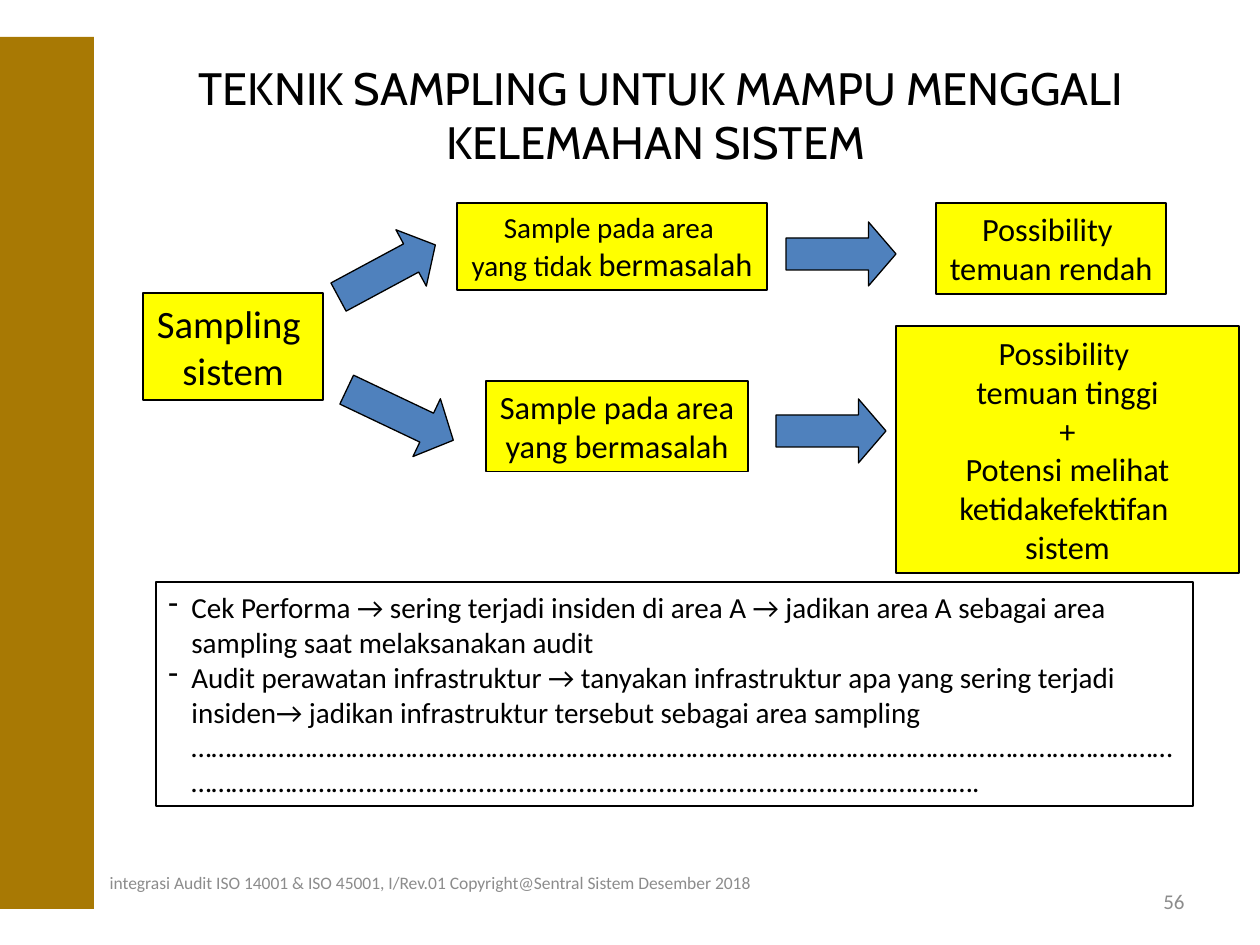
from lxml.etree import SubElement
from pptx import Presentation
from pptx.dml.color import RGBColor
from pptx.enum.shapes import MSO_SHAPE
from pptx.enum.text import MSO_ANCHOR, MSO_AUTO_SIZE, PP_ALIGN
from pptx.oxml.ns import qn
from pptx.util import Pt

PX = 914400 / 126
BLACK, YELLOW, BLUE, GOLD, GREY = "000000", "FFFF00", "4F81BD", "A87904", "8C8C8C"


def paint(color_format, color):
    color_format.rgb = RGBColor.from_string(color)


def add_block(preset, box, fill=None, line=BLACK):
    """Add a preset shape at box (left, top, width, height in px)."""
    block = slide.shapes.add_shape(preset, *[round(v * PX) for v in box])
    block.shadow.inherit = False
    for part, color in ((block.fill, fill), (block.line.fill, line)):
        if color:
            part.solid()
            paint(part.fore_color, color)
        else:
            part.background()
    block.line.width = Pt(0.75)
    return block


prs = Presentation()
prs.slide_width, prs.slide_height = round(1260 * PX), round(945 * PX)
slide = prs.slides.add_slide(prs.slide_layouts[5])

# Title
title = slide.shapes.title
title_place = {"left": 94, "top": 42, "width": 1134, "height": 145}
for side, length in title_place.items():
    setattr(title, side, round(length * PX))
title.text = "TEKNIK SAMPLING UNTUK MAMPU MENGGALI KELEMAHAN SISTEM "
title.text_frame.auto_size = MSO_AUTO_SIZE.NONE
title.text_frame.vertical_anchor = MSO_ANCHOR.MIDDLE
heading = title.text_frame.paragraphs[0]
heading.alignment = PP_ALIGN.CENTER
heading.font.name, heading.font.size = "Cabin", Pt(25.9)
paint(heading.font.color, BLACK)

# Sampling paths: box, wrap, lines of (text, size) runs
steps = [
    ((143, 293, 180, 107), False, [[("Sampling ", 22.1)], [("sistem", 22.1)]]),
    ((457, 203, 310, 87), False,
     [[("Sample pada area ", 16.6)], [("yang tidak ", 16.6), ("bermasalah", 18.5)]]),
    ((486, 381, 262, 91), False,
     [[("Sample pada area", 18.5)], [("yang bermasalah", 18.5)]]),
    ((936, 203, 230, 91), False,
     [[("Possibility ", 18.5)], [("temuan rendah", 18.5)]]),
    ((896, 326, 343, 247), True,
     [[(text, 18.5)] for text in ("Possibility ", "temuan tinggi", "+", "Potensi melihat",
                                  "ketidakefektifan ", "sistem")]),
]
for box, wrap, lines in steps:
    frame = add_block(MSO_SHAPE.RECTANGLE, box, YELLOW).text_frame
    frame.word_wrap = wrap
    frame.auto_size = MSO_AUTO_SIZE.SHAPE_TO_FIT_TEXT
    for i, runs in enumerate(lines):
        paragraph = frame.paragraphs[0] if i == 0 else frame.add_paragraph()
        paragraph.alignment = PP_ALIGN.CENTER
        for text, size in runs:
            run = paragraph.add_run()
            run.text = text
            run.font.name, run.font.size = "Calibri", Pt(size)
            paint(run.font.color, BLACK)

# Arrows between the steps: box, rotation, head length
arrows = [
    ((776, 399, 110, 64), 0, 0.43),
    ((786, 222, 110, 64), 0, 0.43),
    ((332, 239, 110, 64), 331.7, 0.43),
    ((341, 383, 118, 64), 25.4, 0.46),
]
for box, rotation, head in arrows:
    arrow = add_block(MSO_SHAPE.RIGHT_ARROW, box, BLUE)
    arrow.rotation = rotation
    arrow.adjustments[1] = head

# Sampling examples
examples = [
    "Cek Performa → sering terjadi insiden di area A → jadikan area A sebagai area "
    "sampling saat melaksanakan audit",
    "Audit perawatan infrastruktur → tanyakan infrastruktur apa yang sering terjadi "
    "insiden→ jadikan infrastruktur tersebut sebagai area sampling " + "…" * 88 + ".",
]
notes = add_block(MSO_SHAPE.RECTANGLE, (156, 582, 1037, 224)).text_frame
notes.word_wrap = True
notes.auto_size = MSO_AUTO_SIZE.SHAPE_TO_FIT_TEXT
for i, example in enumerate(examples):
    paragraph = notes.paragraphs[0] if i == 0 else notes.add_paragraph()
    paragraph.text = example
    paragraph.alignment = PP_ALIGN.LEFT
    properties = paragraph._p.get_or_add_pPr()
    indent = round(23 * PX)
    properties.set("marL", str(indent))
    properties.set("indent", str(-indent))
    SubElement(properties, qn("a:buChar")).set("char", "-")
    paragraph.font.name, paragraph.font.size = "Calibri", Pt(16.6)
    paint(paragraph.font.color, BLACK)

# Side band, footer and page number
add_block(MSO_SHAPE.RECTANGLE, (0, 37, 94, 872), GOLD, None)
footers = [
    ((47, 858, 766, 50), PP_ALIGN.CENTER, 10,
     "integrasi Audit ISO 14001 & ISO 45001, I/Rev.01 Copyright@Sentral Sistem Desember 2018"),
    ((903, 876, 294, 50), PP_ALIGN.RIGHT, 12, "56"),
]
for box, alignment, size, text in footers:
    frame = slide.shapes.add_textbox(*[round(v * PX) for v in box]).text_frame
    frame.word_wrap = True
    frame.vertical_anchor = MSO_ANCHOR.MIDDLE
    paragraph = frame.paragraphs[0]
    paragraph.text = text
    paragraph.alignment = alignment
    paragraph.font.name, paragraph.font.size = "Calibri", Pt(size)
    paint(paragraph.font.color, GREY)

prs.save("out.pptx")
